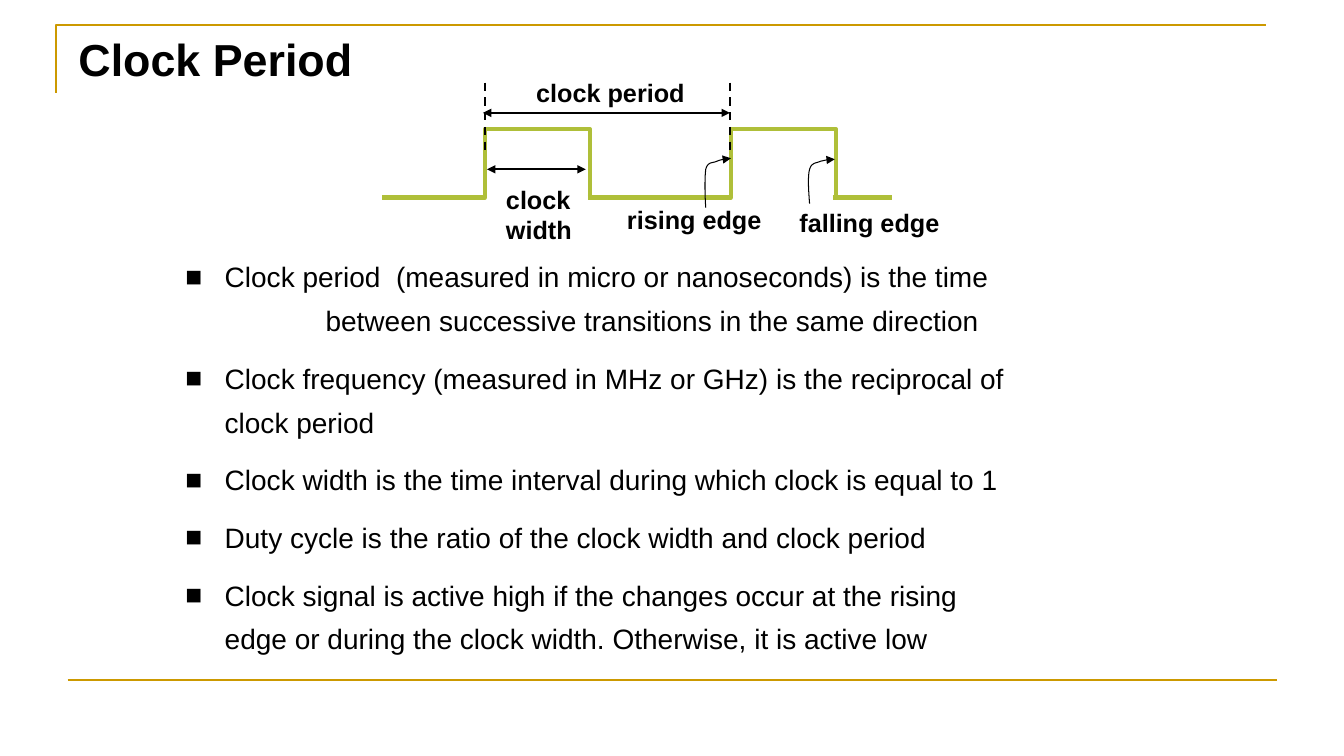
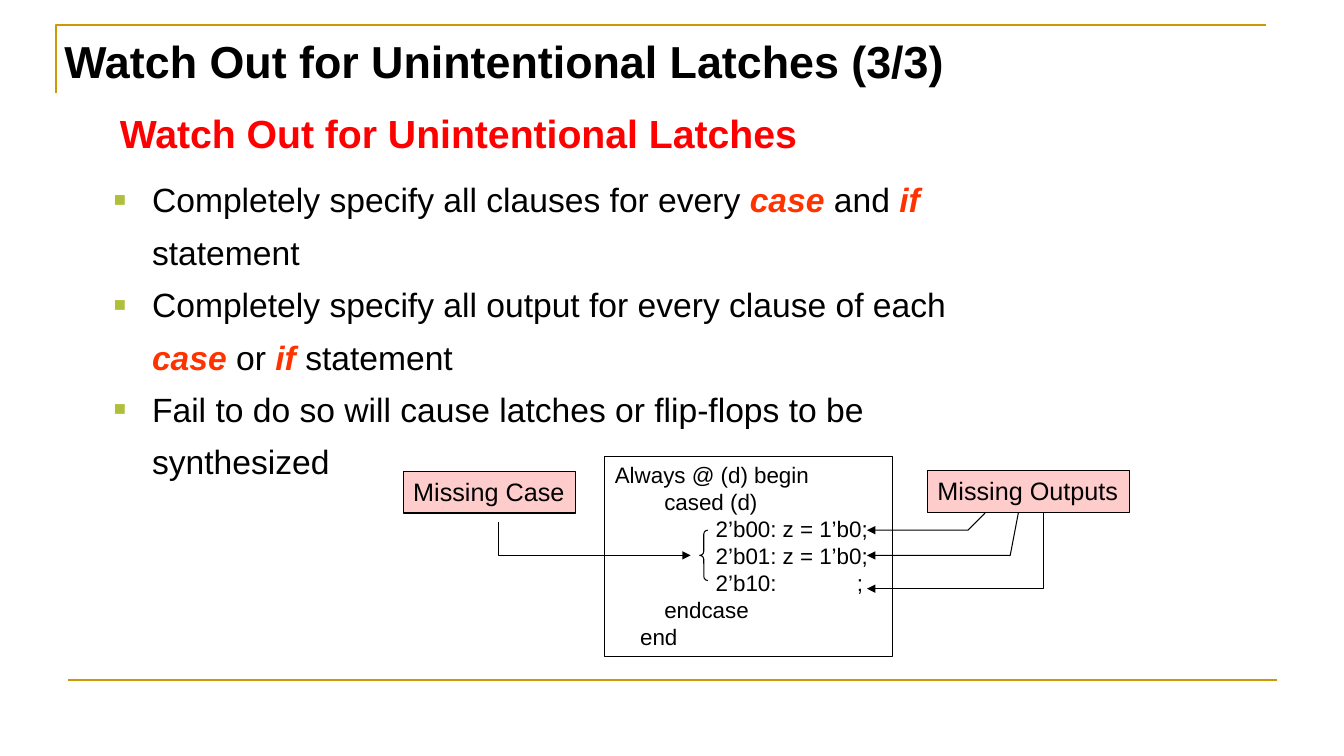
from lxml import etree
from pptx import Presentation
from pptx.dml.color import RGBColor
from pptx.enum.dml import MSO_LINE
from pptx.enum.shapes import MSO_CONNECTOR, MSO_SHAPE
from pptx.enum.text import MSO_ANCHOR
from pptx.oxml.ns import qn
from pptx.util import Inches, Pt

BLACK = RGBColor(0x00, 0x00, 0x00)
GOLD = RGBColor(0xCC, 0x99, 0x00)
GREEN = RGBColor(0xAF, 0xBF, 0x39)
RED = RGBColor(0xFF, 0x00, 0x00)
KEYWORD_RED = RGBColor(0xFF, 0x33, 0x00)
PINK = RGBColor(0xFF, 0xCC, 0xCC)
FONT = "Arial"
BLANK_LAYOUT = 6
STRAIGHT = MSO_CONNECTOR.STRAIGHT
RECTANGLE = MSO_SHAPE.RECTANGLE
LEFT_BRACE = MSO_SHAPE.LEFT_BRACE
TOP, MIDDLE = MSO_ANCHOR.TOP, MSO_ANCHOR.MIDDLE
DASH = MSO_LINE.DASH


def inches(*lengths):
    return [Inches(length) for length in lengths]


def curve(start, *segments, steps=8):
    """Points along joined cubic Bezier segments (control, control, end)."""
    points = [start]
    for first, second, end in segments:
        origin = points[-1]
        for step in range(1, steps + 1):
            t = step / steps
            u = 1 - t
            points.append(tuple(
                u**3 * a + 3 * u**2 * t * b + 3 * u * t**2 * c + t**3 * d
                for a, b, c, d in zip(origin, first, second, end)))
    return points


class SlideWriter:
    def __init__(self, deck):
        self.deck = deck
        self.page = None

    def new_page(self):
        layout = self.deck.slide_layouts[BLANK_LAYOUT]
        self.page = self.deck.slides.add_slide(layout)
        self.outline([(0.56, 0.92), (0.56, 0.25), (12.56, 0.25)], GOLD, 1.5)
        self.line((0.67, 6.75), (12.67, 6.75), GOLD)

    def stroke(self, shape, color, width, ends=()):
        """Style a line; ends names the arrowheads, headEnd before tailEnd."""
        shape.line.color.rgb = color
        shape.line.width = Pt(width)
        outline = shape.element.spPr.find(qn("a:ln"))
        for end in ends:
            etree.SubElement(outline, qn(f"a:{end}"), type="triangle")

    def line(self, start, end, color=BLACK, width=1.5, dash=None, ends=()):
        connector = self.page.shapes.add_connector(
            STRAIGHT, *inches(*start, *end))
        if dash:
            connector.line.dash_style = dash
        self.stroke(connector, color, width, ends)
        etree.SubElement(connector.element.spPr, qn("a:effectLst"))

    def outline(self, points, color=BLACK, width=0.75, ends=()):
        start, *rest = [inches(*point) for point in points]
        builder = self.page.shapes.build_freeform(*start)
        builder.add_line_segments(rest, close=False)
        shape = builder.convert_to_shape()
        shape.shadow.inherit = False
        shape.fill.background()
        self.stroke(shape, color, width, ends)

    def arrow(self, points):
        self.outline(points, ends=["tailEnd"])

    def shape(self, kind, place, fill=None):
        shape = self.page.shapes.add_shape(kind, *inches(*place))
        shape.shadow.inherit = False
        if fill is None:
            shape.fill.background()
        else:
            shape.fill.solid()
            shape.fill.fore_color.rgb = fill
        self.stroke(shape, BLACK, 0.75)
        return shape

    def span(self, para, text, size, color=BLACK, bold=False, italic=False):
        run = para.add_run()
        run.text = text
        font = run.font
        font.name, font.size = FONT, Pt(size)
        font.bold, font.italic = bold, italic
        font.color.rgb = color

    def fill_lines(self, box, lines, size, color=BLACK, bold=False,
                   wrap=True, anchor=TOP, stops=()):
        frame = box.text_frame
        frame.word_wrap = wrap
        frame.vertical_anchor = anchor
        for number, text in enumerate(lines):
            para = frame.add_paragraph() if number else frame.paragraphs[0]
            para.alignment = 1
            if stops:
                tabs = etree.SubElement(
                    para._p.get_or_add_pPr(), qn("a:tabLst"))
                for stop in stops:
                    etree.SubElement(tabs, qn("a:tab"),
                                     pos=str(Inches(stop)), algn="l")
            self.span(para, text, size, color, bold)

    def text(self, place, lines, size, **style):
        box = self.page.shapes.add_textbox(*inches(*place))
        self.fill_lines(box, lines, size, **style)

    def title(self, text, place):
        self.text(place, [text], 32, bold=True, anchor=MIDDLE, wrap=False)

    def label(self, place, *lines):
        self.text(place, lines, 18, bold=True, wrap=False)

    def tag(self, place, text):
        box = self.shape(RECTANGLE, place, PINK)
        self.fill_lines(box, [text], 18, wrap=False)

    def bullets(self, place, items, size, hang, gap=0, color=None,
                scale=None, continued=()):
        """Each item alternates plain and keyword spans.

        continued maps an item number to the left margin of a line that
        carries on the item before it.
        """
        frame = self.page.shapes.add_textbox(*inches(*place)).text_frame
        frame.word_wrap = True
        margins = dict(continued)
        for number, spans in enumerate(items):
            para = frame.add_paragraph() if number else frame.paragraphs[0]
            para.line_spacing = 1.3
            follows_on = number in margins
            para.space_before = Pt(0 if follows_on else gap)
            properties = para._p.get_or_add_pPr()
            properties.set("marL", str(Inches(margins.get(number, hang))))
            properties.set("indent", str(0 if follows_on else -Inches(hang)))
            if follows_on:
                etree.SubElement(properties, qn("a:buNone"))
            else:
                self.mark(properties, color, scale)
            for position, text in enumerate(spans):
                keyword = position % 2 == 1
                self.span(para, text, size, KEYWORD_RED if keyword else BLACK,
                          keyword, keyword)

    def mark(self, properties, color, scale):
        """Give a paragraph its square bullet."""
        if color is not None:
            holder = etree.SubElement(properties, qn("a:buClr"))
            etree.SubElement(holder, qn("a:srgbClr"), val=str(color))
        if scale is not None:
            etree.SubElement(properties, qn("a:buSzPct"),
                             val=str(scale * 1000))
        etree.SubElement(properties, qn("a:buFont"), typeface=FONT)
        etree.SubElement(properties, qn("a:buChar"), char="■")


def clock_period(writer):
    writer.new_page()
    writer.bullets((1.74, 2.43, 8.37, 4.24), [
        ["Clock period  (measured in micro or nanoseconds) is the time"],
        ["between successive transitions in the same direction"],
        ["Clock frequency (measured in MHz or GHz) is the reciprocal of "
         "clock period"],
        ["Clock width is the time interval during which clock is equal to 1"],
        ["Duty cycle is the ratio of the clock width and clock period"],
        ["Clock signal is active high if the changes occur at the rising "
         "edge or during the clock width. Otherwise, it is active low"],
    ], 20, 0.39, gap=10, continued={1: 1.39})
    writer.title("Clock Period", (0.68, 0.26, 2.94, 0.64))

    high, low = 1.28, 1.96
    for left in (3.79, 6.23):
        rise, fall = left + 1.02, left + 2.06
        writer.outline([(left, low), (rise, low), (rise, high),
                        (fall, high), (fall, low)], GREEN, 3)
    for left, right in ((5.83, 6.29), (8.26, 8.85)):
        writer.line((left, low), (right, low), GREEN, 3)
    for rise in (4.81, 7.24):
        writer.line((rise, 0.82), (rise, 1.49), dash=DASH)
    for left, right, y in ((4.79, 7.24, 1.12), (4.83, 5.81, 1.68)):
        writer.line((left, y), (right, y), ends=["headEnd", "tailEnd"])

    writer.label((5.22, 0.72, 1.67, 0.4), "clock period")
    writer.label((4.92, 1.78, 0.91, 0.7), "clock", "width")
    writer.label((6.12, 1.98, 1.71, 0.4), "rising edge")
    writer.label((7.83, 2.01, 1.85, 0.4), "falling edge")
    writer.arrow(curve(
        (8.03, 2.02),
        ((8.02, 1.89), (8.01, 1.75), (8.03, 1.68)),
        ((8.05, 1.61), (8.1, 1.62), (8.14, 1.6)),
        ((8.18, 1.59), (8.23, 1.58), (8.28, 1.58))))
    writer.arrow(curve(
        (7, 2.06),
        ((6.99, 1.91), (6.99, 1.76), (7, 1.68)),
        ((7.02, 1.6), (7.07, 1.62), (7.11, 1.6)),
        ((7.15, 1.58), (7.2, 1.58), (7.25, 1.57))))


def unintentional_latches(writer):
    writer.new_page()
    writer.text((1.09, 0.9, 9.33, 0.83),
                ["Watch Out for Unintentional Latches"], 28,
                color=RED, bold=True, anchor=MIDDLE)
    writer.bullets((1.03, 1.61, 9.18, 3.67), [
        ["Completely specify all clauses for every ", "case", " and ",
         "if ", "statement"],
        ["Completely specify all output for every clause of each ", "case",
         " or ", "if ", "statement"],
        ["Fail to do so will cause latches or flip-flops to be synthesized"],
    ], 24, 0.38, color=GREEN, scale=60)

    code = writer.shape(RECTANGLE, (6, 4.53, 2.85, 1.98))
    writer.fill_lines(code, [
        "Always @ (d) begin",
        "\t\tcased (d)",
        "\t\t\t2’b00: z = 1’b0;",
        "\t\t\t2’b01: z = 1’b0;",
        "\t\t\t2’b10:\t;",
        "\t\tendcase",
        "\tend",
    ], 16, stops=(0.25, 0.49, 1, 2.4))

    writer.tag((4, 4.68, 1.71, 0.41), "Missing Case")
    writer.arrow([(4.94, 5.18), (4.94, 5.51), (6.85, 5.51)])
    brace = writer.shape(LEFT_BRACE, (6.94, 5.26, 0.08, 0.5))
    brace.adjustments[0] = 0.5
    writer.tag((9.2, 4.67, 2, 0.41), "Missing Outputs")
    for start, bend, y in ((10.1, 10.02, 5.51), (10.35, 10.35, 5.84),
                           (9.77, 9.6, 5.26)):
        writer.arrow([(start, 5.09), (bend, y), (8.6, y)])
    writer.title("Watch Out for Unintentional Latches (3/3)",
                 (0.54, 0.19, 9.33, 0.83))


def main():
    deck = Presentation()
    deck.slide_width, deck.slide_height = inches(13.33, 7.5)
    writer = SlideWriter(deck)
    clock_period(writer)
    unintentional_latches(writer)
    deck.save("out.pptx")


if __name__ == "__main__":
    main()
